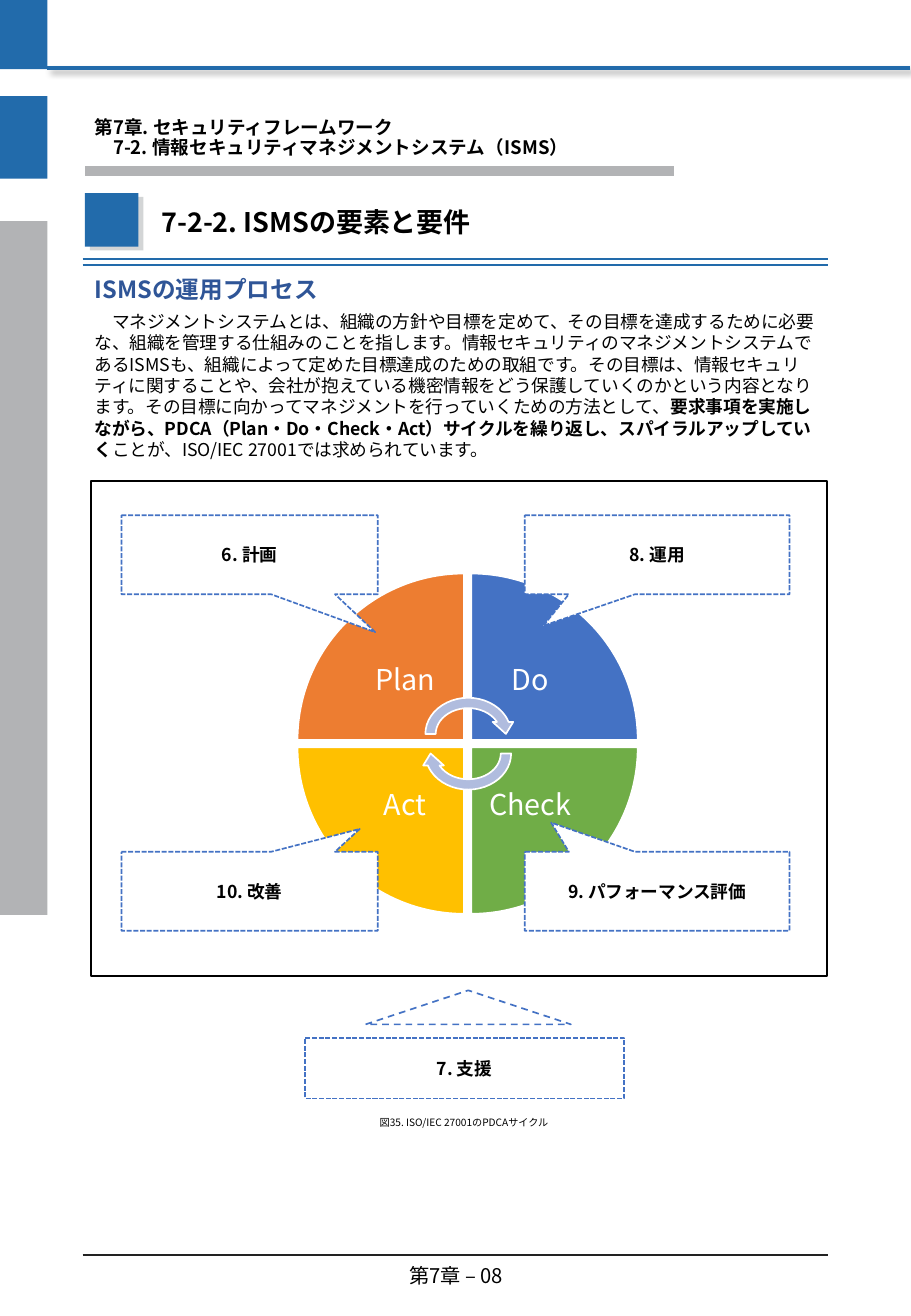
import pptx
import pptx.util
import pptx.dml.color
import pptx.enum.dml
import pptx.enum.lang
import pptx.enum.shapes
import pptx.enum.text
import pptx.oxml
import pptx.oxml.ns

COLORS = {
    "blue": "226BAB", "gray": "B2B3B5", "pale": "D3D5D6", "rule": "222222",
    "heading": "2F5597", "outline": "4472C4", "black": "000000", "white": "FFFFFF",
    "plan": "ED7D31", "do": "4472C4", "check": "70AD47", "act": "FFC000",
    "arrow": "B0BCDE",
}
FONT = "Noto Sans CJK JP"
COLUMNS, ROWS = 75, 108.3
SHAPE = pptx.enum.shapes.MSO_SHAPE
DASH = pptx.enum.dml.MSO_LINE
ALIGN = pptx.enum.text.PP_ALIGN
ANCHOR = pptx.enum.text.MSO_ANCHOR
SHADOW = (
    '<a:outerShdw %s blurRad="50800" dist="38100" dir="2700000" algn="tl">'
    '<a:srgbClr val="000000"><a:alpha val="40000"/></a:srgbClr></a:outerShdw>'
    % pptx.oxml.ns.nsdecls("a")
)


def rgb(name):
    return pptx.dml.color.RGBColor.from_string(COLORS[name])


def write(frame, *lines, size=10.5, color="black", bold=False, align=ALIGN.LEFT,
          anchor=ANCHOR.MIDDLE, leading=1.2, inset=None):
    """Each line is one paragraph: a string, or a list of (string, bold) spans."""
    frame.word_wrap = True
    frame.vertical_anchor = anchor
    if inset is not None:
        frame.margin_left = frame.margin_right = pptx.util.Inches(inset)
        frame.margin_top = frame.margin_bottom = pptx.util.Inches(inset)
    for index, line in enumerate(lines):
        para = frame.add_paragraph() if index else frame.paragraphs[0]
        para.alignment = align
        para.line_spacing = pptx.util.Pt(round(size * leading, 2))
        for words, heavy in [(line, bold)] if isinstance(line, str) else line:
            span = para.add_run()
            span.text = words
            font = span.font
            font.name, font.size, font.bold = FONT, pptx.util.Pt(size), heavy
            font.language_id = pptx.enum.lang.MSO_LANGUAGE_ID.JAPANESE
            font.color.rgb = rgb(color)
            east_asian = pptx.oxml.parse_xml(
                '<a:ea %s typeface="%s"/>' % (pptx.oxml.ns.nsdecls("a"), FONT))
            font._element.append(east_asian)


class Page:
    """Draws on one slide; lengths are grid columns and rows."""

    def __init__(self, deck):
        self.slide = deck.slides.add_slide(deck.slide_layouts[6])
        self.column = deck.slide_width / COLUMNS
        self.row = deck.slide_height / ROWS

    def place(self, *lengths):
        units = (self.column, self.row) * 2
        return [round(length * unit) for length, unit in zip(lengths, units)]

    def shape(self, kind, at, fill=None, line=None, dash=None, turn=0, adjust=()):
        shape = self.slide.shapes.add_shape(kind, *self.place(*at))
        shape.shadow.inherit = False
        shape.rotation = turn
        for index, value in enumerate(adjust):
            shape.adjustments[index] = value
        if fill:
            shape.fill.solid()
            shape.fill.fore_color.rgb = rgb(fill)
        else:
            shape.fill.background()
        if line:
            shape.line.color.rgb = rgb(line)
            shape.line.width = pptx.util.Pt(1)
            if dash:
                shape.line.dash_style = dash
        else:
            shape.line.fill.background()
        return shape

    def line(self, left, right, top, color, width=1, shadow=False):
        line = self.slide.shapes.add_connector(
            pptx.enum.shapes.MSO_CONNECTOR.STRAIGHT, *self.place(left, top, right, top))
        line.line.color.rgb = rgb(color)
        line.line.width = pptx.util.Pt(width)
        effects = pptx.oxml.parse_xml(
            "<a:effectLst %s/>" % pptx.oxml.ns.nsdecls("a"))
        if shadow:
            effects.append(pptx.oxml.parse_xml(SHADOW))
        line._element.spPr.append(effects)

    def text(self, at, *lines, **style):
        box = self.slide.shapes.add_textbox(*self.place(*at))
        write(box.text_frame, *lines, **style)

    def label(self, kind, at, words, fill=None, adjust=()):
        box = self.shape(kind, at, fill, "outline", DASH.SQUARE_DOT, adjust=adjust)
        write(box.text_frame, words, bold=True, align=ALIGN.CENTER)


def draw_frame(page):
    page.line(3.9, 74.9, 5.6, "blue", 2, shadow=True)
    for top, height, color in ((0, 5.7, "blue"), (7.9, 6.8, "blue"), (18.2, 57.1, "gray")):
        page.shape(SHAPE.RECTANGLE, (0, top, 3.9, height), color)
    for left, top, color in ((7.4, 16.2, "pale"), (7, 15.9, "blue")):
        page.shape(SHAPE.RECTANGLE, (left, top, 4.4, 4.4), color)
    for top, color in ((21.3, "blue"), (21.8, "blue"), (103.3, "rule")):
        page.line(6.8, 68.2, top, color)
    page.line(7, 55.5, 14.1, "gray", 6)


def draw_text(page):
    page.text((29.1, 103.1, 16.9, 3.8), "第7章 – 08", size=12, align=ALIGN.CENTER)
    page.text((6.8, 9.1, 68.2, 4.6), "第7章. セキュリティフレームワーク",
              "　7-2. 情報セキュリティマネジメントシステム（ISMS）",
              size=11, bold=True, leading=1.08)
    page.text((12.3, 15.9, 55.9, 4.2), "7-2-2. ISMSの要素と要件",
              size=16, bold=True, anchor=ANCHOR.BOTTOM, leading=1.08)
    page.text((6.8, 21.8, 61.4, 4.2), "ISMSの運用プロセス",
              size=14, color="heading", bold=True, leading=1.08)
    page.text((6.8, 25.1, 61.4, 21.4), [
        ("　マネジメントシステムとは、組織の方針や目標を定めて、その目標を達成するために"
         "必要な、組織を管理する仕組みのことを指します。情報セキュリティのマネジメント"
         "システムであるISMSも、組織によって定めた目標達成のための取組です。その目標は、"
         "情報セキュリティに関することや、会社が抱えている機密情報をどう保護していくのか"
         "という内容となります。その目標に向かってマネジメントを行っていくための方法として、",
         False),
        ("要求事項を実施しながら、PDCA（Plan・Do・Check・Act）サイクルを繰り返し、"
         "スパイラルアップしていく", True),
        ("ことが、ISO/IEC 27001では求められています。", False),
    ], anchor=ANCHOR.TOP)
    page.text((7.5, 91.4, 61.4, 2), "図35. ISO/IEC 27001のPDCAサイクル",
              size=6, align=ALIGN.CENTER, anchor=ANCHOR.TOP)


def draw_cycle(page):
    page.shape(SHAPE.RECTANGLE, (7.5, 39.6, 60.6, 40.7), "white", "black")
    wedge, gap, label = 13.7, 0.6, 9.7
    left, top = 24.5, 47.2
    stages = (("Plan", 0, 0), ("Do", 1, 0), ("Check", 1, 1), ("Act", 0, 1))
    for index, (name, across, down) in enumerate(stages):
        x, y = left + across * (wedge + gap), top + down * (wedge + gap)
        page.shape(SHAPE.PIE_WEDGE, (x, y, wedge, wedge), name.lower(), "white",
                   turn=90 * index)
        inner = wedge - label
        page.text((x + inner * (1 - across), y + inner * (1 - down), label, label), name,
                  size=17, color="white", align=ALIGN.CENTER, leading=1.08, inset=0.13)
    for y, turn in ((57, 0), (58.6, 180)):
        page.shape(SHAPE.CIRCULAR_ARROW, (34.6, y, 7.9, 6.8), "arrow", "white", turn=turn)


def draw_clauses(page):
    clauses = (
        ("6. 計画", 10, 42.4, 21.1, (0.49, 0.98)),
        ("8. 運用", 43.2, 42.4, 21.8, (-0.43, 0.9)),
        ("9. パフォーマンス評価", 43.2, 70.1, 21.8, (-0.4, -0.87)),
        ("10. 改善", 10, 70.1, 21.1, (0.43, -0.79)),
    )
    for words, left, top, width, tip in clauses:
        page.label(SHAPE.RECTANGULAR_CALLOUT, (left, top, width, 6.5), words, "white", tip)
    page.label(SHAPE.RECTANGLE, (25.1, 85.4, 26.3, 5), "7. 支援")
    page.shape(SHAPE.ISOSCELES_TRIANGLE, (30.1, 81.5, 16.9, 2.8), "white", "outline",
               DASH.DASH)


def main():
    deck = pptx.Presentation()
    deck.slide_width = pptx.util.Inches(7.5)
    deck.slide_height = pptx.util.Inches(10.83)
    page = Page(deck)
    draw_frame(page)
    draw_cycle(page)
    draw_clauses(page)
    draw_text(page)
    deck.save("out.pptx")


if __name__ == "__main__":
    main()
